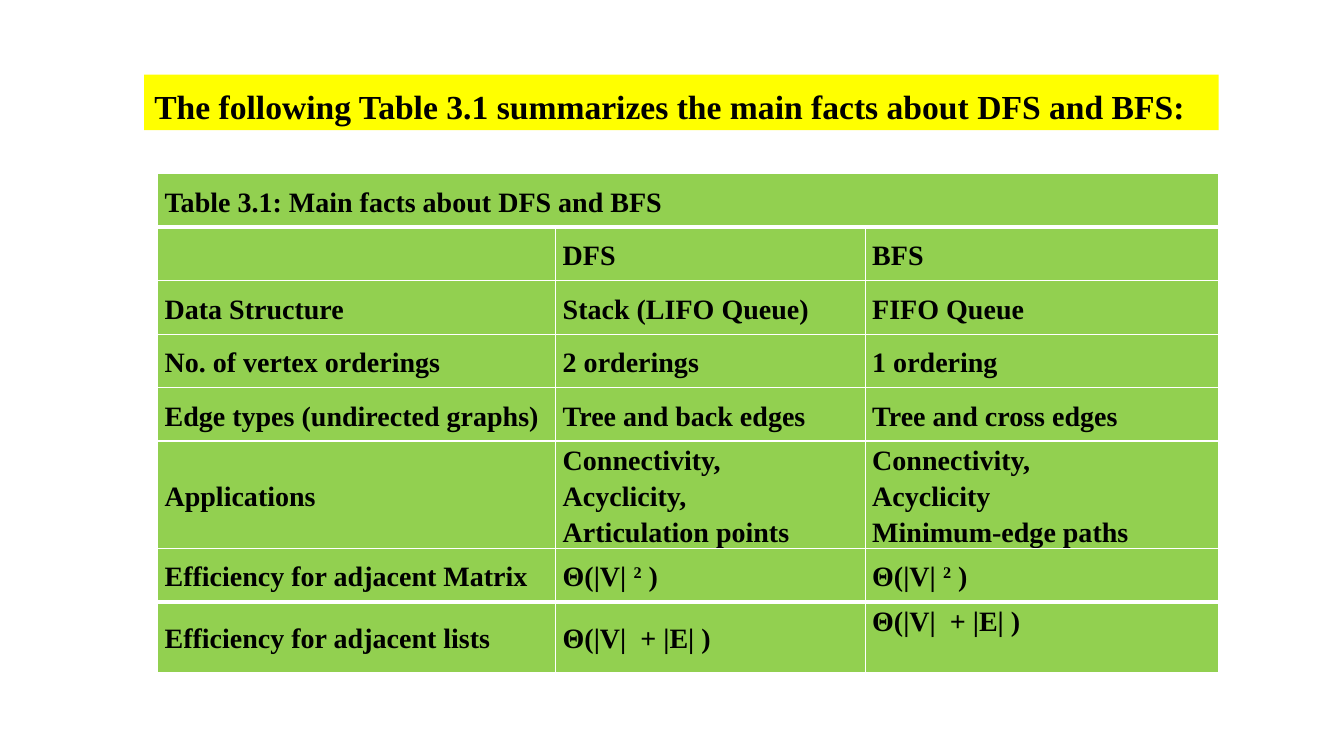
"""Build the slide that compares depth-first and breadth-first search."""
import lxml.etree
import pptx
import pptx.dml.color
import pptx.enum.text
import pptx.oxml.ns
import pptx.util

Pt = pptx.util.Pt
qn = pptx.oxml.ns.qn
RGBColor = pptx.dml.color.RGBColor
ANCHOR = pptx.enum.text.MSO_ANCHOR
BLACK = RGBColor(0x00, 0x00, 0x00)
WHITE = RGBColor(0xFF, 0xFF, 0xFF)
GREEN = RGBColor(0x92, 0xD0, 0x50)
YELLOW = RGBColor(0xFF, 0xFF, 0x00)

HEIGHT = 38.2
WIDTHS = [284.4, 221.1, 252.7]
ROWS = [
    ["Table 3.1: Main facts about DFS and BFS", "", ""],
    ["", "DFS", "BFS"],
    ["Data Structure", "Stack (LIFO Queue)", "FIFO Queue"],
    ["No. of vertex orderings", "2 orderings", "1 ordering"],
    ["Edge types (undirected graphs)", "Tree and back edges", "Tree and cross edges"],
    ["Applications", "Connectivity,\nAcyclicity,\nArticulation points",
     "Connectivity,\nAcyclicity\nMinimum-edge paths"],
    ["Efficiency for adjacent Matrix", "Θ(|V| ^2^ )", "Θ(|V| ^2^ )"],
    ["Efficiency for adjacent lists", "Θ(|V|  + |E| )", "Θ(|V|  + |E| )"],
]
LAST = len(ROWS) - 1


def write(frame, text, size=20, color=BLACK, bold=True):
    """Write lines of text, with any part between carets raised."""
    for i, line in enumerate(text.split("\n")):
        para = frame.add_paragraph() if i else frame.paragraphs[0]
        para.alignment = pptx.enum.text.PP_ALIGN.LEFT
        para.line_spacing = 1.15
        for j, part in enumerate(line.split("^")):
            run = para.add_run()
            run.text = part
            run.font.name = "Times New Roman"
            run.font.size = Pt(size)
            run.font.bold = bold
            run.font.color.rgb = color
            if j % 2:
                run.font._element.set("baseline", "30000")


def edge(cell, side, width):
    """Draw one white border of a cell."""
    props = cell._tc.get_or_add_tcPr()
    line = lxml.etree.SubElement(props, qn("a:ln" + side), w=str(Pt(width)))
    fill = lxml.etree.SubElement(line, qn("a:solidFill"))
    lxml.etree.SubElement(fill, qn("a:srgbClr"), val=str(WHITE))


deck = pptx.Presentation()
deck.slide_width, deck.slide_height = Pt(960), Pt(540)
slide = deck.slides.add_slide(deck.slide_layouts[5])

title = slide.shapes.title
title.left, title.top, title.width, title.height = Pt(103), Pt(53.3), Pt(767.5), Pt(39.6)
title.fill.solid()
title.fill.fore_color.rgb = YELLOW
title.text_frame.word_wrap = True
title.text_frame.auto_size = pptx.enum.text.MSO_AUTO_SIZE.NONE
title.text_frame.vertical_anchor = ANCHOR.TOP
write(title.text_frame,
      "The following Table 3.1 summarizes the main facts about DFS and BFS:", size=24)

frame = slide.shapes.add_table(len(ROWS), len(WIDTHS), Pt(112.6), Pt(124.1),
                               Pt(sum(WIDTHS)), Pt(HEIGHT * 9))
table = frame.table
table.horz_banding = False
for col, width in zip(table.columns, WIDTHS):
    col.width = Pt(width)
for row in table.rows:
    row.height = Pt(HEIGHT)
table.rows[5].height = Pt(2 * HEIGHT)
table.rows[LAST].height = Pt(50.4)
table.cell(0, 0).merge(table.cell(0, 2))

for r, texts in enumerate(ROWS):
    for c, text in enumerate(texts):
        cell = table.cell(r, c)
        cell.margin_left = cell.margin_right = Pt(5)
        cell.margin_top = cell.margin_bottom = Pt(0)
        cell.vertical_anchor = ANCHOR.MIDDLE
        edge(cell, "L", 1)
        edge(cell, "R", 1)
        edge(cell, "T", 3 if r in (1, LAST) else 1)
        edge(cell, "B", 3 if r in (0, LAST - 1) else 1)
        cell.fill.solid()
        cell.fill.fore_color.rgb = GREEN
        if text:
            write(cell.text_frame, text)
table.cell(LAST, 2).vertical_anchor = ANCHOR.TOP

deck.save("out.pptx")
